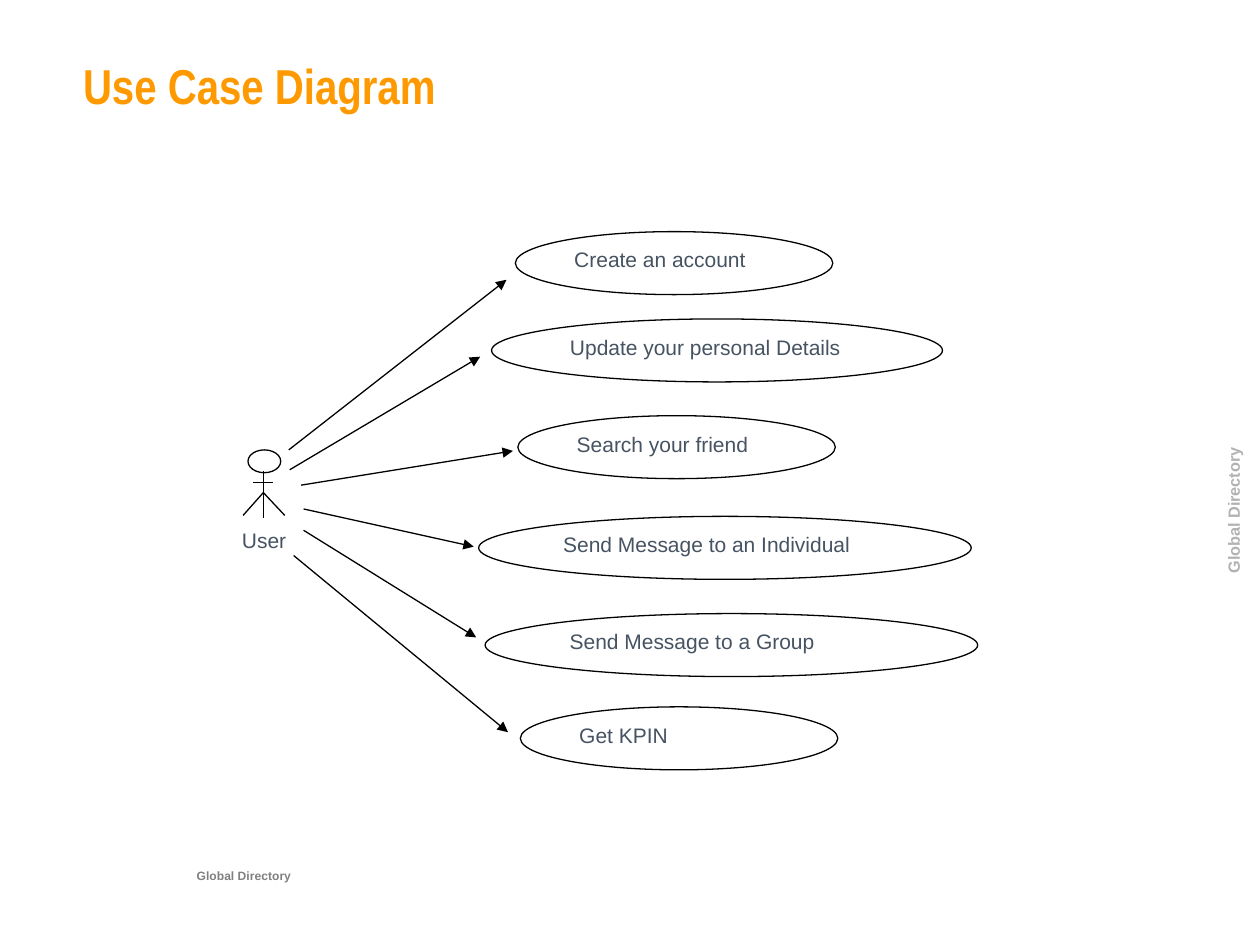
from lxml import etree
from pptx import Presentation
from pptx.dml.color import RGBColor
from pptx.enum.shapes import MSO_CONNECTOR, MSO_SHAPE
from pptx.enum.text import MSO_ANCHOR, MSO_AUTO_SIZE, PP_ALIGN
from pptx.oxml.ns import qn
from pptx.util import Cm, Pt

LINE = MSO_CONNECTOR.STRAIGHT
OVAL = MSO_SHAPE.OVAL
TOP, MIDDLE = MSO_ANCHOR.TOP, MSO_ANCHOR.MIDDLE
LEFT, CENTER = PP_ALIGN.LEFT, PP_ALIGN.CENTER

COLORS = {
    "title": "FF9900",
    "text": "465362",
    "footer": "808080",
    "side": "B2B2B2",
    "line": "000000",
    "fill": "FFFFFF",
}

OVAL_HEIGHT = 1.27
USE_CASES = [
    ("Create an account", (10.39, 4.67, 6.4), (5.82, 9.07, 10.21, 5.64)),
    ("Update your personal Details", (9.91, 6.43, 9.09), (5.84, 9.47, 9.68, 7.19)),
    ("Search your friend", (10.44, 8.38, 6.4), (6.07, 9.78, 10.34, 9.09)),
    ("Send Message to an Individual", (9.65, 10.41, 9.93), (6.12, 10.26, 9.55, 11.02)),
    ("Send Message to a Group", (9.78, 12.37, 9.93), (6.12, 10.69, 9.6, 12.85)),
    ("Get KPIN", (10.49, 14.25, 6.4), (5.92, 11.2, 10.24, 14.76)),
]
ACTOR_LINES = [
    (5.31, 9.5, 5.31, 10.44),
    (5.31, 9.93, 5.74, 10.39),
    (5.31, 9.93, 4.9, 10.39),
    (5.11, 9.73, 5.51, 9.73),
]


class Diagram:
    font = "Arial"
    size = 12
    line_width = Pt(0.75)

    def __init__(self, prs):
        self.slide = prs.slides.add_slide(prs.slide_layouts[5])

    def rgb(self, name):
        return RGBColor.from_string(COLORS[name])

    def set_text(self, s, text, color="text", size=size, font=font, bold=False,
                 align=LEFT, anchor=TOP):
        tf = s.text_frame
        tf.text = text
        tf.word_wrap = True
        tf.auto_size = MSO_AUTO_SIZE.NONE
        tf.vertical_anchor = anchor
        p = tf.paragraphs[0]
        p.alignment = align
        r = p.runs[0]
        r.font.name = font
        r.font.size = Pt(size)
        r.font.bold = bold
        r.font.color.rgb = self.rgb(color)

    def title(self, text, x, y, w, h):
        s = self.slide.shapes.title
        s.left, s.top, s.width, s.height = Cm(x), Cm(y), Cm(w), Cm(h)
        self.set_text(s, text, "title", 28, "Arial Narrow", True)

    def label(self, text, x, y, w, h, **style):
        s = self.slide.shapes.add_textbox(Cm(x), Cm(y), Cm(w), Cm(h))
        self.set_text(s, text, align=CENTER, **style)
        return s

    def lowered_label(self, text, x, y, w, h, color, size):
        s = self.label(text, x, y, w, h, color=color, size=size, bold=True, anchor=MIDDLE)
        r = s.text_frame.paragraphs[0].runs[0]
        r._r.get_or_add_rPr().set("baseline", "-25000")
        return s

    def side_label(self, text, x, y, w, h):
        s = self.lowered_label(text, x, y, w, h, "side", 16)
        s.rotation = 270
        tf = s.text_frame
        tf.margin_top, tf.margin_bottom = Cm(0.25), Cm(0.51)
        tf.paragraphs[0].space_before = Pt(10)

    def oval(self, x, y, w, h, text=None):
        s = self.slide.shapes.add_shape(OVAL, Cm(x), Cm(y), Cm(w), Cm(h))
        s.shadow.inherit = False
        s.fill.solid()
        s.fill.fore_color.rgb = self.rgb("fill")
        s.line.color.rgb = self.rgb("line")
        s.line.width = self.line_width
        if text:
            self.set_text(s, text)

    def line(self, x1, y1, x2, y2, arrow=False):
        s = self.slide.shapes.add_connector(LINE, Cm(x1), Cm(y1), Cm(x2), Cm(y2))
        s.line.color.rgb = self.rgb("line")
        s.line.width = self.line_width
        spPr = s._element.spPr
        if arrow:
            etree.SubElement(spPr.find(qn("a:ln")), qn("a:tailEnd"), type="triangle")
        etree.SubElement(spPr, qn("a:effectLst"))


def main():
    prs = Presentation()
    prs.slide_width, prs.slide_height = Cm(25.4), Cm(19.05)
    d = Diagram(prs)

    d.lowered_label("Global Directory", 1.02, 17.09, 7.8, 0.84, "footer", 12)
    d.side_label("Global Directory", 18.95, 9.53, 11.71, 1.52)
    d.title("Use Case Diagram", 1.42, 0.99, 23.24, 2.54)

    d.oval(5, 9.07, 0.66, 0.46)
    for ends in ACTOR_LINES:
        d.line(*ends)
    d.label("User", 4.45, 10.52, 1.75, 0.97)

    for text, place, ends in USE_CASES:
        d.oval(*place, OVAL_HEIGHT, text)
        d.line(*ends, arrow=True)

    prs.save("out.pptx")


if __name__ == "__main__":
    main()
